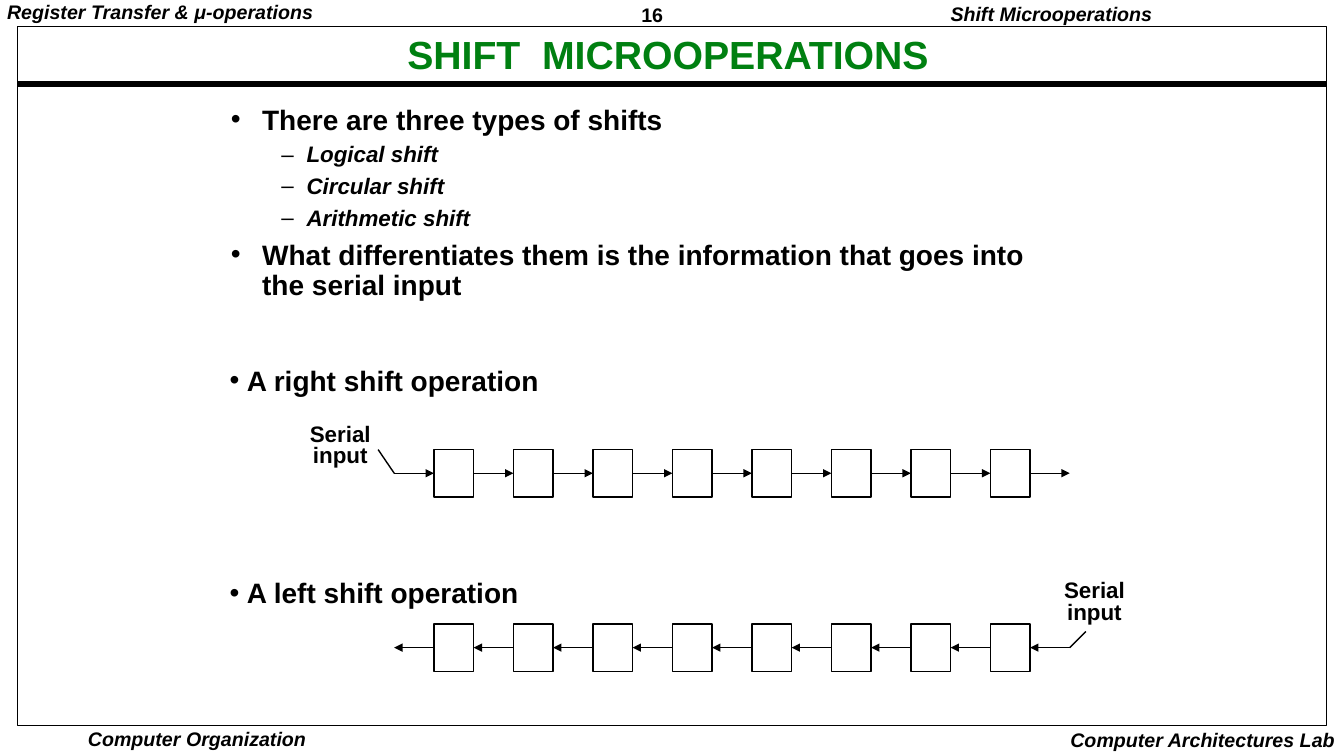
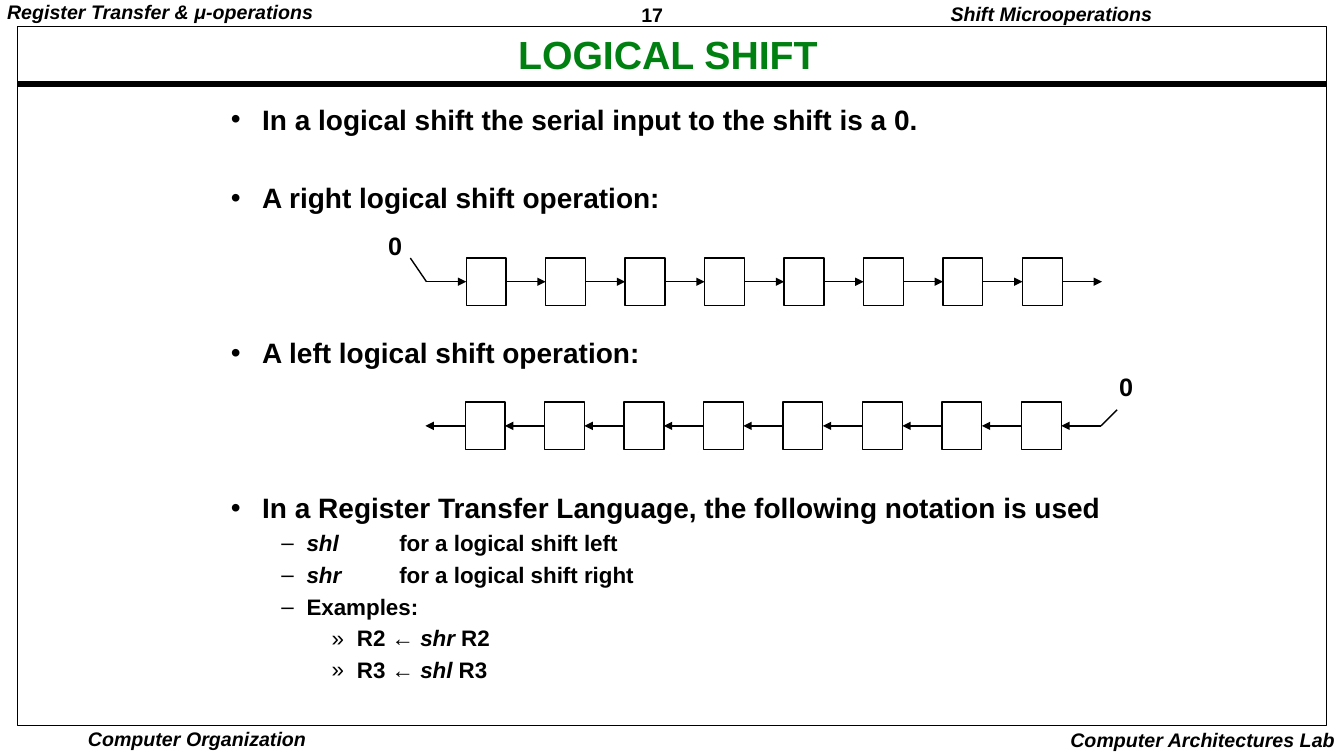
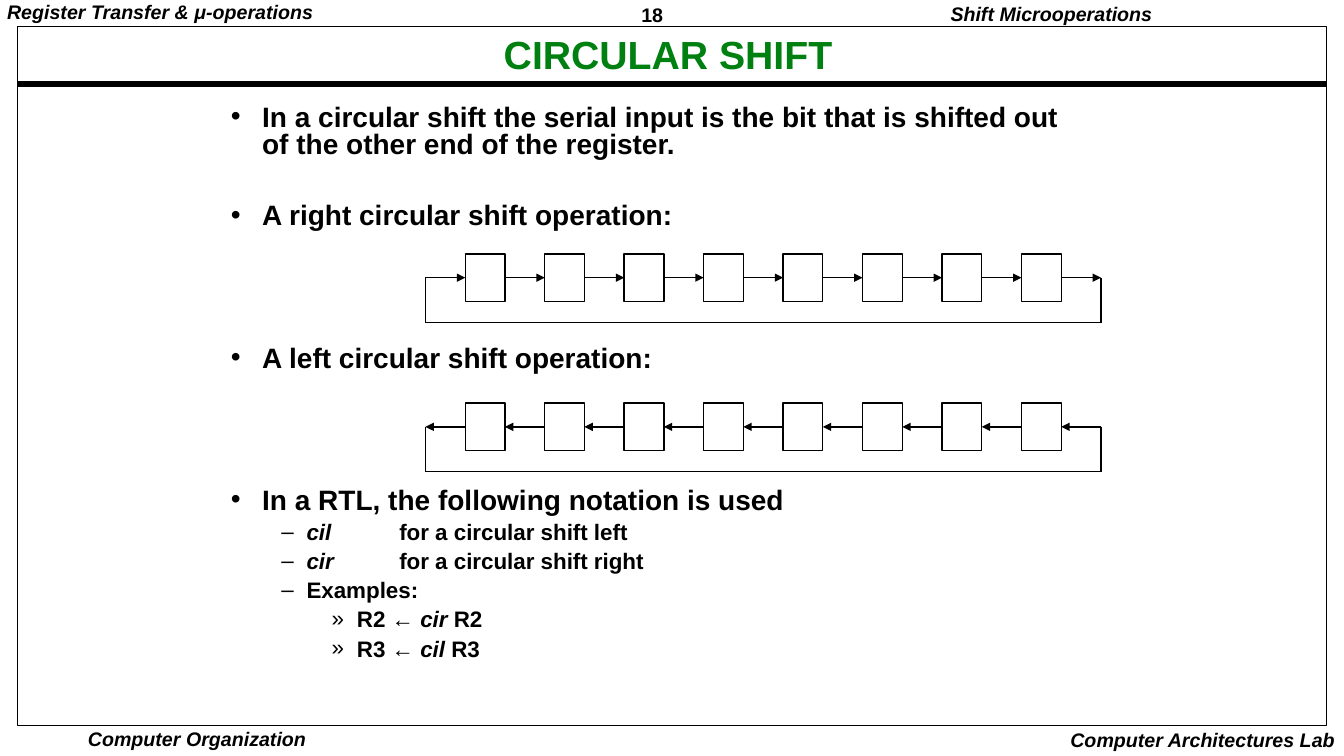
from lxml import etree
from pptx import Presentation
from pptx.dml.color import RGBColor
from pptx.enum.shapes import MSO_CONNECTOR, MSO_SHAPE
from pptx.enum.text import MSO_ANCHOR, MSO_AUTO_SIZE, PP_ALIGN
from pptx.oxml.ns import qn
from pptx.util import Inches, Pt

LEFT, CENTER, RIGHT = PP_ALIGN.LEFT, PP_ALIGN.CENTER, PP_ALIGN.RIGHT
TOP, MIDDLE = MSO_ANCHOR.TOP, MSO_ANCHOR.MIDDLE
NO_AUTOFIT = MSO_AUTO_SIZE.NONE
STRAIGHT, RECTANGLE = MSO_CONNECTOR.STRAIGHT, MSO_SHAPE.RECTANGLE

BLACK, GREEN = "000000", "008011"
FONT = "Arial"
TITLE_AND_CONTENT = 1

# Left margin, hanging indent, bullet and text size of each list level
LEVELS = [(0.31, 0.31, "•", 20), (0.75, 0.25, "–", 16), (1.25, 0.25, "»", 16)]
TAB_STOP = 1.67
LINE_HEIGHT = 1.15
GAP_RATIO = 0.34

# A register alternates nine arrows with eight cells, all equally wide
CELL_COUNT = 8
REGISTER_WIDTH = 6.7
STEP = REGISTER_WIDTH / (2 * CELL_COUNT + 1)
CELL_HEIGHT = 0.47
LOOP_DROP = 0.68
LEAD = 0.16


def color(hex_string):
    return RGBColor.from_string(hex_string)


def place(shape, box):
    shape.left, shape.top, shape.width, shape.height = map(Inches, box)


def set_font(paragraph, size, hex_string=BLACK, italic=None):
    font = paragraph.font
    font.name, font.size, font.bold, font.italic = FONT, Pt(size), True, italic
    font.color.rgb = color(hex_string)


def set_bullet(paragraph, margin, hanging, bullet):
    properties = paragraph._p.get_or_add_pPr()
    properties.set("marL", str(Inches(margin)))
    properties.set("indent", str(-Inches(hanging)))
    etree.SubElement(properties, qn("a:buFont"), typeface=FONT)
    etree.SubElement(properties, qn("a:buChar"), char=bullet)


def add_tab_stop(paragraph, position):
    tabs = etree.SubElement(paragraph._p.get_or_add_pPr(), qn("a:tabLst"))
    etree.SubElement(tabs, qn("a:tab"), pos=str(Inches(position)), algn="l")


def set_margins(frame, horizontal, vertical):
    frame.margin_left = frame.margin_right = Inches(horizontal)
    frame.margin_top = frame.margin_bottom = Inches(vertical)


def add_label(slide, box, lines, size, align=LEFT, italic=None, spacing=0.9,
              margins=(0.1, 0.05)):
    label = slide.shapes.add_textbox(*map(Inches, box))
    frame = label.text_frame
    frame.word_wrap = False
    set_margins(frame, *margins)
    frame.text = lines
    for paragraph in frame.paragraphs:
        paragraph.alignment = align
        paragraph.line_spacing = spacing
        set_font(paragraph, size, italic=italic)


def add_rectangle(slide, box, weight):
    rectangle = slide.shapes.add_shape(RECTANGLE, *map(Inches, box))
    rectangle.shadow.inherit = False
    rectangle.fill.background()
    rectangle.line.color.rgb = color(BLACK)
    rectangle.line.width = Pt(weight)


def add_line(slide, start, end, weight=1, arrow=False):
    line = slide.shapes.add_connector(STRAIGHT, *map(Inches, (*start, *end)))
    line.line.color.rgb = color(BLACK)
    line.line.width = Pt(weight)
    properties = line._element.spPr
    if arrow:
        etree.SubElement(properties.find(qn("a:ln")), qn("a:tailEnd"),
                         type="triangle")
    etree.SubElement(properties, qn("a:effectLst"))


def add_frame(slide, number):
    """Draw the header, footer, border and rule that every slide carries."""
    add_label(slide, (6.29, 0, 0.38, 0.29), str(number), 14, spacing=1.01,
              margins=(0.07, 0.03))
    add_label(slide, (0, 0, 3.19, 0.48), "Register Transfer & μ-operations",
              14, italic=True, margins=(0.07, 0.03))
    add_label(slide, (9.32, 0, 2.21, 0.31), "Shift Microoperations", 14,
              RIGHT, italic=True)
    add_label(slide, (0.84, 7.2, 2.23, 0.26), "Computer Organization", 14,
              CENTER, italic=True, spacing=1.0, margins=(0.03, 0.01))
    add_label(slide, (10.5, 7.17, 2.84, 0.33), "Computer Architectures Lab",
              14, RIGHT, italic=True, spacing=1.0)
    add_line(slide, (0.17, 0.83), (13.16, 0.83), weight=4.5)
    add_rectangle(slide, (0.17, 0.26, 12.99, 6.94), 0.5)


def set_title(slide, text):
    title = slide.shapes.title
    place(title, (1.82, 0.32, 9.61, 0.48))
    frame = title.text_frame
    frame.auto_size = NO_AUTOFIT
    frame.vertical_anchor = MIDDLE
    set_margins(frame, 0.07, 0.03)
    frame.text = text
    paragraph = frame.paragraphs[0]
    paragraph.alignment = CENTER
    paragraph.line_spacing = 0.9
    set_font(paragraph, 28, GREEN)


def set_body(slide, box, items, spacing):
    """Fill the list; an item is (level, lines left free above, text).

    Text between asterisks is italic.
    """
    body = slide.placeholders[1]
    place(body, box)
    frame = body.text_frame
    frame.auto_size = NO_AUTOFIT
    frame.vertical_anchor = TOP
    for index, (level, free_lines, text) in enumerate(items):
        paragraph = frame.add_paragraph() if index else frame.paragraphs[0]
        margin, hanging, bullet, size = LEVELS[level]
        paragraph.level = level
        set_bullet(paragraph, margin, hanging, bullet)
        if "\t" in text:
            add_tab_stop(paragraph, TAB_STOP)
        gap = GAP_RATIO * size
        pitch = LINE_HEIGHT * size * spacing + gap
        paragraph.space_before = Pt(round(gap + free_lines * pitch, 1))
        paragraph.line_spacing = spacing
        set_font(paragraph, size)
        for position, part in enumerate(text.split("*")):
            if part:
                run = paragraph.add_run()
                run.text = part
                if position % 2:
                    run.font.italic = True


def add_register(slide, left, top, to_right):
    middle = top + CELL_HEIGHT / 2
    for index in range(CELL_COUNT + 1):
        start = left + 2 * index * STEP
        ends = [(start, middle), (start + STEP, middle)]
        add_line(slide, *(ends if to_right else reversed(ends)), arrow=True)
        if index < CELL_COUNT:
            add_rectangle(slide, (start + STEP, top, STEP, CELL_HEIGHT), 1)


def add_fed_register(slide, left, top, to_right, label_box, label, size,
                     spacing):
    """Add a register with a labelled serial input; label_box is relative."""
    add_register(slide, left, top, to_right)
    middle = top + CELL_HEIGHT / 2
    if to_right:
        add_line(slide, (left, middle), (left - LEAD, top))
    else:
        right = left + REGISTER_WIDTH
        add_line(slide, (right, middle), (right + LEAD, middle - LEAD))
    x, y, width, height = label_box
    add_label(slide, (left + x, top + y, width, height), label, size, CENTER,
              spacing=spacing)


def add_looped_register(slide, left, top, to_right):
    add_register(slide, left, top, to_right)
    middle, bottom = top + CELL_HEIGHT / 2, top + LOOP_DROP
    right = left + REGISTER_WIDTH
    corners = [(left, middle), (left, bottom), (right, bottom),
               (right, middle)]
    for start, end in zip(corners, corners[1:]):
        add_line(slide, start, end)


def add_operation_names(slide, box, names, gap):
    """Add a bulleted text box with a gap in points between its lines."""
    text_box = slide.shapes.add_textbox(*map(Inches, box))
    frame = text_box.text_frame
    frame.word_wrap = True
    frame.text = "\n".join(names)
    for index, paragraph in enumerate(frame.paragraphs):
        set_bullet(paragraph, 0.17, 0.17, "•")
        paragraph.line_spacing = 0.9
        paragraph.space_before = Pt(gap if index else 0)
        set_font(paragraph, 20)


def notation_items(kind, intro, left_name, right_name):
    return [
        (0, 1, f"A right {kind} shift operation:"),
        (0, 3, f"A left {kind} shift operation:"),
        (0, 3, f"In a {intro}, the following notation is used"),
        (1, 0, f"*{left_name}*\tfor a {kind} shift left"),
        (1, 0, f"*{right_name}*\tfor a {kind} shift right"),
        (1, 0, "Examples:"),
        (2, 0, f"R2 ← *{right_name}* R2"),
        (2, 0, f"R3 ← *{left_name}* R3"),
    ]


def add_slide(presentation, number, title, box, items, spacing=0.9):
    layout = presentation.slide_layouts[TITLE_AND_CONTENT]
    slide = presentation.slides.add_slide(layout)
    add_frame(slide, number)
    set_title(slide, title)
    set_body(slide, box, items, spacing)
    return slide


def add_overview_slide(presentation):
    slide = add_slide(
        presentation, 16, "SHIFT  MICROOPERATIONS", (2.19, 1, 8.1, 2.59), [
            (0, 0, "There are three types of shifts"),
            (1, 0, "*Logical shift*"),
            (1, 0, "*Circular shift*"),
            (1, 0, "*Arithmetic shift*"),
            (0, 0, "What differentiates them is the information that goes "
                   "into the serial input"),
        ])
    add_operation_names(slide, (2.18, 3.59, 5, 2.5),
                        ["A right shift operation", "A left shift operation"],
                        130)
    label = ("Serial\ninput", 16, 0.8)
    add_fed_register(slide, 3.91, 4.46, True, (-0.94, -0.29, 0.81, 0.53),
                     *label)
    add_fed_register(slide, 3.91, 6.19, False, (6.54, -0.47, 0.81, 0.53),
                     *label)


def add_logical_slide(presentation):
    items = [(0, 0, "In a logical shift the serial input to the shift is a 0.")]
    items += notation_items("logical", "Register Transfer Language",
                            "shl", "shr")
    slide = add_slide(presentation, 17, "LOGICAL SHIFT",
                      (2.19, 1, 8.97, 6.21), items)
    label = ("0", 18, 0.9)
    add_fed_register(slide, 4.23, 2.56, True, (-0.48, -0.29, 0.34, 0.37),
                     *label)
    add_fed_register(slide, 4.22, 3.99, False, (6.78, -0.32, 0.34, 0.37),
                     *label)


def add_circular_slide(presentation):
    items = [(0, 0, "In a circular shift the serial input is the bit that is "
                    "shifted out of the other end of the register.")]
    items += notation_items("circular", "RTL", "cil", "cir")
    slide = add_slide(presentation, 18, "CIRCULAR SHIFT",
                      (2.19, 1, 8.74, 6.19), items, spacing=0.8)
    add_looped_register(slide, 4.22, 2.52, True)
    add_looped_register(slide, 4.22, 4, False)


def main():
    presentation = Presentation()
    presentation.slide_width = Inches(13.33)
    presentation.slide_height = Inches(7.5)
    add_overview_slide(presentation)
    add_logical_slide(presentation)
    add_circular_slide(presentation)
    presentation.save("out.pptx")


if __name__ == "__main__":
    main()
